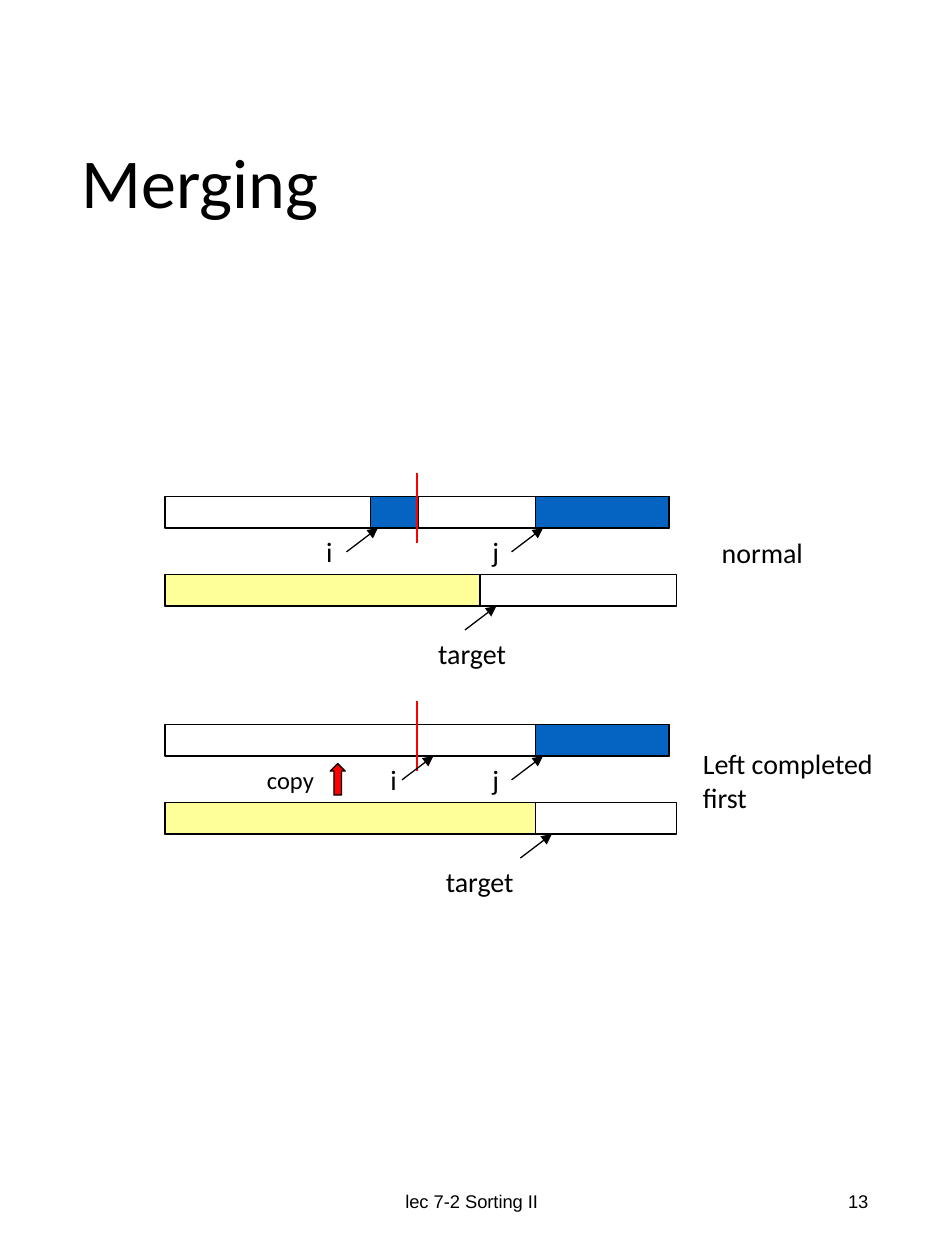
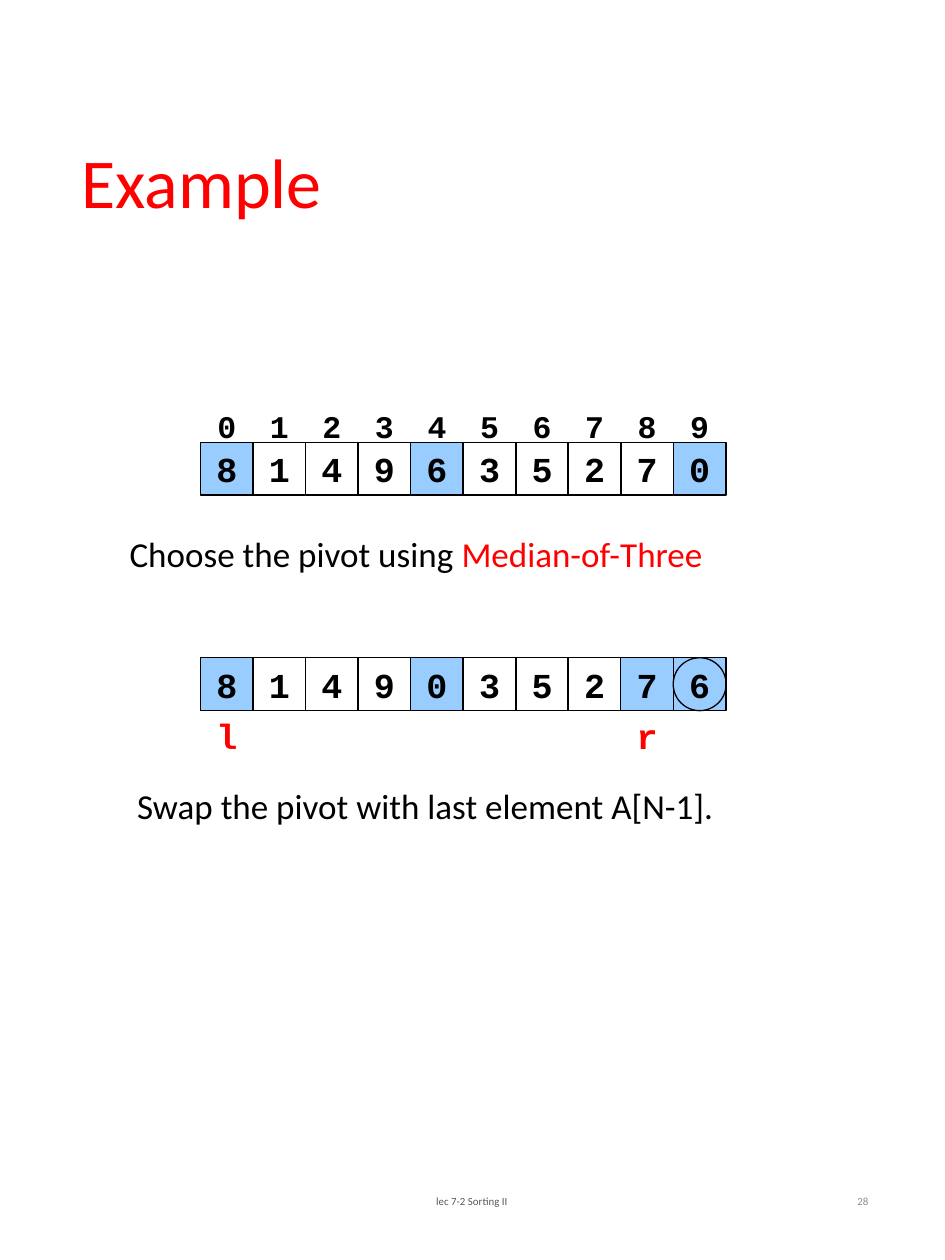
"""Build two slides about merging sorted runs and choosing a quicksort pivot."""
from lxml.etree import SubElement
from pptx import Presentation
from pptx.dml.color import RGBColor
from pptx.enum.shapes import MSO_CONNECTOR, MSO_SHAPE
from pptx.enum.text import MSO_ANCHOR, MSO_AUTO_SIZE, PP_ALIGN
from pptx.oxml.ns import qn
from pptx.util import Inches, Pt

BLACK = RGBColor(0x00, 0x00, 0x00)
RED = RGBColor(0xFF, 0x00, 0x00)
BLUE = RGBColor(0x05, 0x63, 0xC1)
YELLOW = RGBColor(0xFF, 0xFF, 0x99)
LIGHT_BLUE = RGBColor(0x99, 0xCC, 0xFF)
DARK_GRAY = RGBColor(0x59, 0x59, 0x59)
GRAY = RGBColor(0x8C, 0x8C, 0x8C)

FOOTER = "lec 7-2 Sorting II"
MERGE_FOOTER = {"number": "13", "size": 10.5, "font": "Arial",
                "colors": (BLACK, BLACK)}
PIVOT_FOOTER = {"number": "28", "size": 6.2, "font": "Calibri",
                "colors": (DARK_GRAY, GRAY)}

MERGE_CASES = [
    {"top": 3.94, "remaining": [(2.94, 0.38), (4.25, 1.06)], "merged": 2.5,
     "pointers": [("i", 2.49, 3.0), ("j", 3.81, 4.31)],
     "target": (3.38, 3.94),
     "note": ["normal"], "note_box": (5.63, 4.2, 0.96, 0.37)},
    {"top": 5.75, "remaining": [(4.25, 1.06)], "merged": 2.94,
     "pointers": [("i", 3.0, 3.44), ("j", 3.81, 4.31)],
     "target": (3.44, 4.38),
     "note": ["Left completed", "first"], "note_box": (5.48, 5.88, 1.77, 0.64)},
]
BAR_LEFT, BAR_HEIGHT, HALF, TARGET_WIDTH = 1.31, 0.25, 2, 4.06
TARGET_DROP = 0.62

INDEXES = range(10)
ARRAYS = [
    {"top": 3.51, "values": (8, 1, 4, 9, 6, 3, 5, 2, 7, 0), "marked": {0, 4, 9}},
    {"top": 5.22, "values": (8, 1, 4, 9, 0, 3, 5, 2, 7, 6), "marked": {0, 4, 8, 9}},
]
MARKERS = [("l", 0), ("r", 8)]
CELL_LEFT, CELL, ARRAY_WIDTH = 1.59, 0.42, 4.17


def inches(box):
    return [Inches(length) for length in box]


def add_words(shape, paragraphs, size, color=BLACK, font="Calibri", bold=False,
              align=PP_ALIGN.LEFT, spacing=None, **frame_format):
    frame = shape.text_frame
    for key, value in {"word_wrap": False, **frame_format}.items():
        setattr(frame, key, value)
    for position, runs in enumerate(paragraphs):
        paragraph = frame.add_paragraph() if position else frame.paragraphs[0]
        paragraph.alignment = align
        paragraph.line_spacing = spacing
        for words, run_color in runs:
            run = paragraph.add_run()
            run.text = words
            for key, value in {"name": font, "size": Pt(size), "bold": bold}.items():
                setattr(run.font, key, value)
            run.font.color.rgb = run_color or color


def add_text(slide, box, words, size, **text_format):
    paragraphs = [[(words, None)]] if isinstance(words, str) else words
    add_words(slide.shapes.add_textbox(*inches(box)), paragraphs, size, **text_format)


def add_label(slide, box, words, size=16):
    add_text(slide, box, words, size, auto_size=MSO_AUTO_SIZE.SHAPE_TO_FIT_TEXT)


def add_outlined(slide, box, fill=None, kind=MSO_SHAPE.RECTANGLE):
    shape = slide.shapes.add_shape(kind, *inches(box))
    shape.shadow.inherit = False
    if fill is None:
        shape.fill.background()
    else:
        shape.fill.solid()
        shape.fill.fore_color.rgb = fill
    shape.line.color.rgb = BLACK
    shape.line.width = Pt(0.75)
    return shape


def add_line(slide, start, end, color=BLACK, width=0.75, arrow=False):
    line = slide.shapes.add_connector(MSO_CONNECTOR.STRAIGHT, *inches(start + end))
    line.line.color.rgb = color
    line.line.width = Pt(width)
    if arrow:
        SubElement(line.line._get_or_add_ln(), qn("a:tailEnd"), type="triangle")
    SubElement(line._element.spPr, qn("a:effectLst"))


def add_base(deck, title, title_color, footer):
    slide = deck.slides.add_slide(deck.slide_layouts[6])
    add_text(slide, (0.55, 0.51, 6.47, 1.93), title, 40, color=title_color,
             spacing=0.9, word_wrap=True, vertical_anchor=MSO_ANCHOR.MIDDLE)
    parts = [((2.48, 9.27, 2.53, 0.53), FOOTER, PP_ALIGN.CENTER),
             ((5.3, 9.27, 1.69, 0.53), footer["number"], PP_ALIGN.RIGHT)]
    for (box, words, align), color in zip(parts, footer["colors"]):
        add_text(slide, box, words, footer["size"], color=color, font=footer["font"],
                 align=align, word_wrap=True, vertical_anchor=MSO_ANCHOR.MIDDLE)
    return slide


def add_pointer(slide, words, label_box, tip_x, bar_bottom):
    add_line(slide, (tip_x - 0.25, bar_bottom + 0.19), (tip_x, bar_bottom), arrow=True)
    add_label(slide, label_box, words)


def add_merge_case(slide, case):
    top, target_top = case["top"], case["top"] + TARGET_DROP
    middle = BAR_LEFT + HALF
    bars = [(BAR_LEFT, top, HALF, None), (middle, top, HALF, None)]
    bars += [(left, top, width, BLUE) for left, width in case["remaining"]]
    bars += [(BAR_LEFT, target_top, TARGET_WIDTH, None),
             (BAR_LEFT, target_top, case["merged"], YELLOW)]
    for left, bar_top, width, fill in bars:
        add_outlined(slide, (left, bar_top, width, BAR_HEIGHT), fill)
    add_line(slide, (middle, top - 0.19), (middle, top + 0.37), RED, 1.5)
    for words, label_left, tip_x in case["pointers"]:
        add_pointer(slide, words, (label_left, top + 0.25, 0.27, 0.37),
                    tip_x, top + BAR_HEIGHT)
    label_left, tip_x = case["target"]
    add_pointer(slide, "target", (label_left, top + 1.06, 0.84, 0.37),
                tip_x, target_top + BAR_HEIGHT)
    add_label(slide, case["note_box"], [[(words, None)] for words in case["note"]])


def build_merging(deck):
    slide = add_base(deck, "Merging", BLACK, MERGE_FOOTER)
    for case in MERGE_CASES:
        add_merge_case(slide, case)
    add_outlined(slide, (2.62, 6.06, 0.12, 0.25), RED, MSO_SHAPE.UP_ARROW)
    add_label(slide, (2.02, 6.02, 0.63, 0.34), "copy", 14)


def cell_box(index, top):
    return CELL_LEFT + index * ARRAY_WIDTH / len(INDEXES), top, CELL, CELL


def build_example(deck):
    slide = add_base(deck, "Example", RED, PIVOT_FOOTER)
    code = {"font": "Courier New", "bold": True, "align": PP_ALIGN.CENTER,
            "vertical_anchor": MSO_ANCHOR.MIDDLE}
    add_text(slide, (0.99, 6.18, 5.59, 0.44),
             "Swap the pivot with last element A[N-1].", 20, word_wrap=True)
    add_label(slide, (0.93, 4.18, 5.48, 0.44),
              [[("Choose the pivot using ", None), ("Median-of-Three", RED)]], 20)
    for array in ARRAYS:
        for index, value in enumerate(array["values"]):
            fill = LIGHT_BLUE if index in array["marked"] else None
            cell = add_outlined(slide, cell_box(index, array["top"]), fill)
            add_words(cell, [[(str(value), None)]], 20, **code)
    for index in INDEXES:
        add_text(slide, cell_box(index, 3.17), str(index), 18, **code)
    add_outlined(slide, cell_box(INDEXES[-1], ARRAYS[-1]["top"]), kind=MSO_SHAPE.OVAL)
    for words, index in MARKERS:
        add_text(slide, cell_box(index, 5.63), words, 20, color=RED, **code)


def main():
    deck = Presentation()
    deck.slide_width, deck.slide_height = Inches(7.5), Inches(10)
    build_merging(deck)
    build_example(deck)
    deck.save("out.pptx")


if __name__ == "__main__":
    main()
